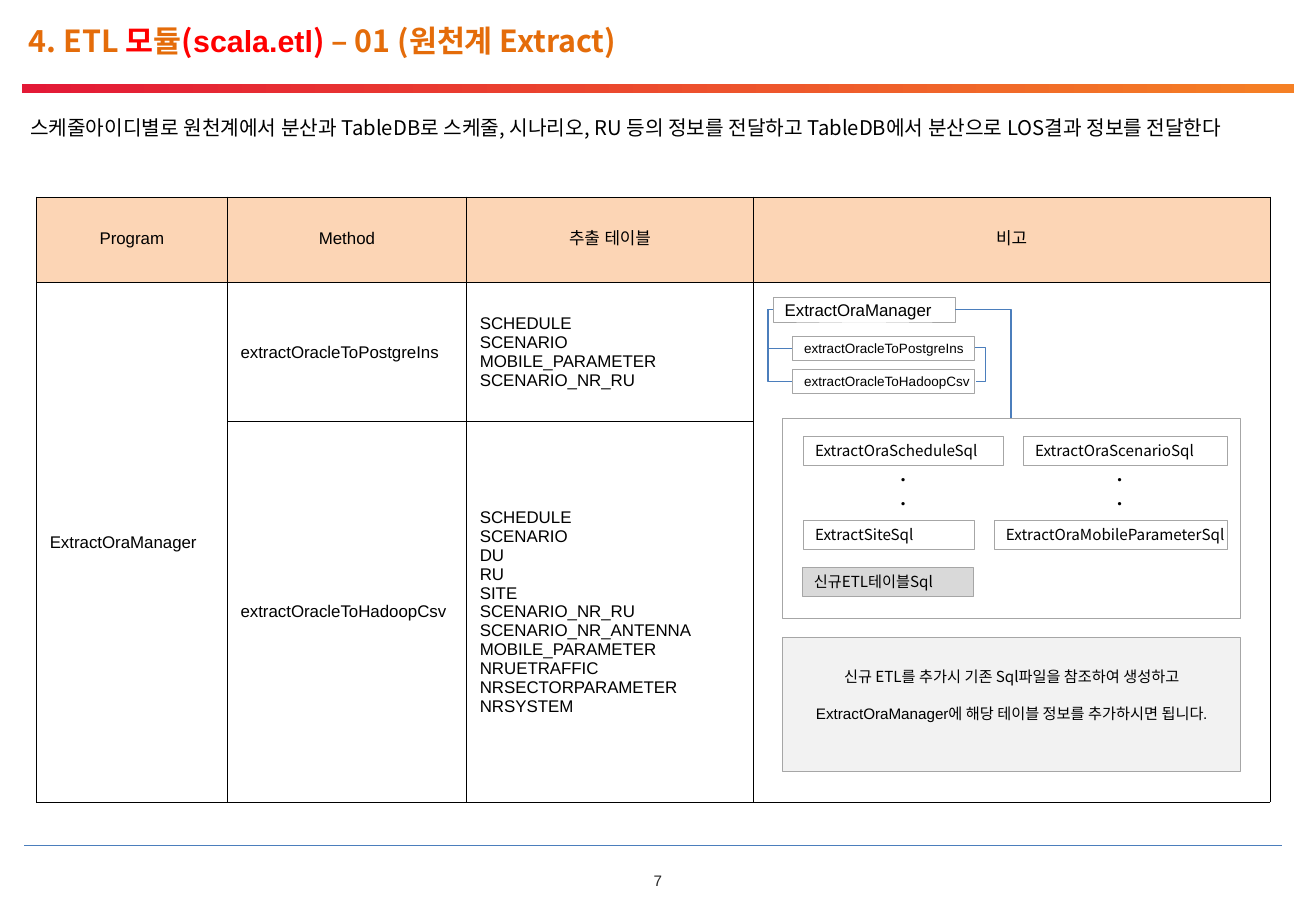
import pptx
import pptx.util
import pptx.dml.color
import pptx.enum.shapes
import pptx.enum.text
import pptx.oxml
import pptx.oxml.ns

Inches = pptx.util.Inches
ALIGN = pptx.enum.text.PP_ALIGN
ANCHOR = pptx.enum.text.MSO_ANCHOR
NOTO = "Noto Sans CJK KR"
BLUE = "4B7EBC"
ORANGE = "E46C0A"
RED = "FF0000"
TABLES = [
    "SCHEDULE\nSCENARIO\nMOBILE_PARAMETER\nSCENARIO_NR_RU",
    "SCHEDULE\nSCENARIO\nDU\nRU\nSITE\nSCENARIO_NR_RU\nSCENARIO_NR_ANTENNA\n"
    "MOBILE_PARAMETER\nNRUETRAFFIC\nNRSECTORPARAMETER\nNRSYSTEM",
]


def color(code):
    return pptx.dml.color.RGBColor.from_string(code)


def style(run, size, font="Arial", code="000000", bold=False):
    run.font.size = pptx.util.Pt(size)
    run.font.name = font
    run.font.color.rgb = color(code)
    run.font.bold = bold
    for tag in ("a:ea", "a:cs"):
        face = pptx.oxml.parse_xml(
            f'<{tag} {pptx.oxml.ns.nsdecls("a")} typeface="{font}"/>')
        run.font._element.append(face)


def write(frame, text, size, font="Arial", code="000000", align=ALIGN.LEFT):
    frame.text = text
    for para in frame.paragraphs:
        para.alignment = align
        for run in para.runs:
            style(run, size, font, code)


def inset(frame, left=0, top=0, right=0, bottom=0):
    frame.word_wrap = True
    frame.margin_left = Inches(left)
    frame.margin_top = Inches(top)
    frame.margin_right = Inches(right)
    frame.margin_bottom = Inches(bottom)


def label(slide, place):
    frame = slide.shapes.add_textbox(*map(Inches, place)).text_frame
    inset(frame, 0.1, 0.05, 0.1, 0.05)
    return frame


def box(slide, place, fill="FFFFFF"):
    shape = slide.shapes.add_shape(
        pptx.enum.shapes.MSO_SHAPE.RECTANGLE, *map(Inches, place))
    shape.shadow.inherit = False
    shape.fill.solid()
    shape.fill.fore_color.rgb = color(fill)
    shape.line.color.rgb = color("A6A6A6")
    shape.line.width = pptx.util.Pt(0.25)
    shape.text_frame.vertical_anchor = ANCHOR.MIDDLE
    inset(shape.text_frame)
    return shape


def name_box(slide, place, text, size, font=NOTO, fill="FFFFFF"):
    frame = box(slide, place, fill).text_frame
    inset(frame, 0.1)
    write(frame, text, size, font)


def link(slide, start, end, bend=None):
    kinds = pptx.enum.shapes.MSO_CONNECTOR
    kind = kinds.STRAIGHT if bend is None else kinds.ELBOW
    line = slide.shapes.add_connector(kind, *map(Inches, start + end))
    line.line.color.rgb = color(BLUE)
    line.line.width = pptx.util.Pt(0.75)
    props = line._element.spPr
    props.append(pptx.oxml.parse_xml(
        f'<a:effectLst {pptx.oxml.ns.nsdecls("a")}/>'))
    if bend is not None:
        ratio = round((bend - start[0]) / (end[0] - start[0]) * 100000)
        guides = props.find(pptx.oxml.ns.qn("a:prstGeom")).get_or_add_avLst()
        guides.append(pptx.oxml.parse_xml(
            f'<a:gd {pptx.oxml.ns.nsdecls("a")} name="adj1" fmla="val {ratio}"/>'))


def border(cell):
    props = cell._tc.get_or_add_tcPr()
    for side in ("lnL", "lnR", "lnT", "lnB"):
        props.append(pptx.oxml.parse_xml(
            f'<a:{side} {pptx.oxml.ns.nsdecls("a")} w="3175"><a:solidFill>'
            f'<a:srgbClr val="000000"/></a:solidFill></a:{side}>'))


def fill_cell(cell, text, head):
    border(cell)
    cell.fill.solid()
    cell.fill.fore_color.rgb = color("FCD5B5" if head else "FFFFFF")
    cell.vertical_anchor = ANCHOR.MIDDLE
    cell.margin_left = Inches(0.01 if head else 0.11)
    cell.margin_top = cell.margin_right = Inches(0.01)
    cell.margin_bottom = 0
    if text:
        write(cell.text_frame, text, 10, align=ALIGN.CENTER if head else ALIGN.LEFT)
    if head:
        cell.text_frame.paragraphs[0].line_spacing = 0.9


def add_grid(slide):
    rows = [
        ["Program", "Method", "추출 테이블", "비고"],
        ["ExtractOraManager", "extractOracleToPostgreIns", TABLES[0], ""],
        ["", "extractOracleToHadoopCsv", TABLES[1], ""],
    ]
    place = map(Inches, (0.3, 1.62, 10.16, 4.98))
    grid = slide.shapes.add_table(3, 4, *place).table
    grid.first_row = grid.horz_banding = False
    for col, width in zip(grid.columns, (1.57, 1.97, 2.36, 4.25)):
        col.width = Inches(width)
    for row, height in zip(grid.rows, (0.7, 1.15, 3.13)):
        row.height = Inches(height)
    for col in (0, 3):
        grid.cell(1, col).merge(grid.cell(2, col))
    for r, row in enumerate(rows):
        for c, text in enumerate(row):
            fill_cell(grid.cell(r, c), text, r == 0)


def add_frame(slide):
    bar = box(slide, (0.18, 0.69, 10.47, 0.08))
    bar.line.fill.background()
    bar.fill.gradient()
    bar.fill.gradient_angle = 0
    for stop, code, spot in zip(bar.fill.gradient_stops, ("E31936", "F58025"), (0, 1)):
        stop.color.rgb = color(code)
        stop.position = spot
    link(slide, (0.2, 6.96), (10.55, 6.96))
    page = label(slide, (5.1, 7.17, 0.63, 0.16))
    inset(page)
    page.vertical_anchor = ANCHOR.MIDDLE
    write(page, "7", 9, code="262626", align=ALIGN.CENTER)


def add_title(slide):
    para = label(slide, (0.14, 0.13, 10.53, 0.46)).paragraphs[0]
    parts = [
        ("4. ETL ", NOTO, ORANGE), ("모", NOTO, RED), ("듈", NOTO, ORANGE),
        ("(", NOTO, RED), ("scala.etl", "Arial", RED), (") ", NOTO, RED),
        ("– 01 (원천계 Extract)", NOTO, ORANGE),
    ]
    for text, font, code in parts:
        run = para.add_run()
        run.text = text
        style(run, 18, font, code, True)
    write(label(slide, (0.15, 0.9, 10.5, 0.57)),
          "스케줄아이디별로 원천계에서 분산과 TableDB로 스케줄, 시나리오, RU 등의 정보를 "
          "전달하고 TableDB에서 분산으로 LOS결과 정보를 전달한다", 12, NOTO)


def add_tree(slide):
    name_box(slide, (6.36, 2.45, 1.5, 0.2), "ExtractOraManager", 10, "Arial")
    for top, text in ((2.77, "extractOracleToPostgreIns"),
                      (3.04, "extractOracleToHadoopCsv")):
        name_box(slide, (6.52, top, 1.5, 0.2), text, 8, "Arial")
        link(slide, (6.36, 2.55), (6.52, top + 0.1), 6.32)
    link(slide, (8.02, 2.86), (8.03, 3.14), 8.11)


def add_files(slide):
    box(slide, (6.44, 3.44, 3.77, 1.65))
    link(slide, (7.86, 2.55), (8.32, 3.44), 8.32)
    files = [
        (6.61, 3.59, 1.65, "ExtractOraScheduleSql", "FFFFFF"),
        (8.42, 3.59, 1.68, "ExtractOraScenarioSql", "FFFFFF"),
        (6.61, 4.28, 1.41, "ExtractSiteSql", "FFFFFF"),
        (8.18, 4.28, 1.92, "ExtractOraMobileParameterSql", "FFFFFF"),
        (6.6, 4.67, 1.41, "신규ETL테이블Sql", "D9D9D9"),
    ]
    for left, top, width, text, fill in files:
        name_box(slide, (left, top, width, 0.24), text, 9, NOTO, fill)
    for left in (7.31, 9.09):
        dots = label(slide, (left, 3.75, 0.26, 0.5))
        inset(dots, top=0.05)
        write(dots, ".\n.", 12, "Times New Roman", align=ALIGN.CENTER)
        for para in dots.paragraphs:
            para.runs[0].font.bold = para.runs[0].font.italic = True


def add_note(slide):
    frame = box(slide, (6.44, 5.25, 3.77, 1.1), "F2F2F2").text_frame
    inset(frame, bottom=0.16)
    write(frame, "신규 ETL를 추가시 기존 Sql파일을 참조하여 생성하고\n"
          "ExtractOraManager에 해당 테이블 정보를 추가하시면 됩니다.",
          9, NOTO, align=ALIGN.CENTER)
    frame.paragraphs[0].space_after = pptx.util.Pt(11)
    frame.paragraphs[1].runs[0].font.name = "Arial"


def main():
    deck = pptx.Presentation()
    deck.slide_width = Inches(10.83)
    deck.slide_height = Inches(7.5)
    slide = deck.slides.add_slide(deck.slide_layouts[6])
    for step in (add_frame, add_title, add_grid, add_tree, add_files, add_note):
        step(slide)
    deck.save("out.pptx")


if __name__ == "__main__":
    main()
